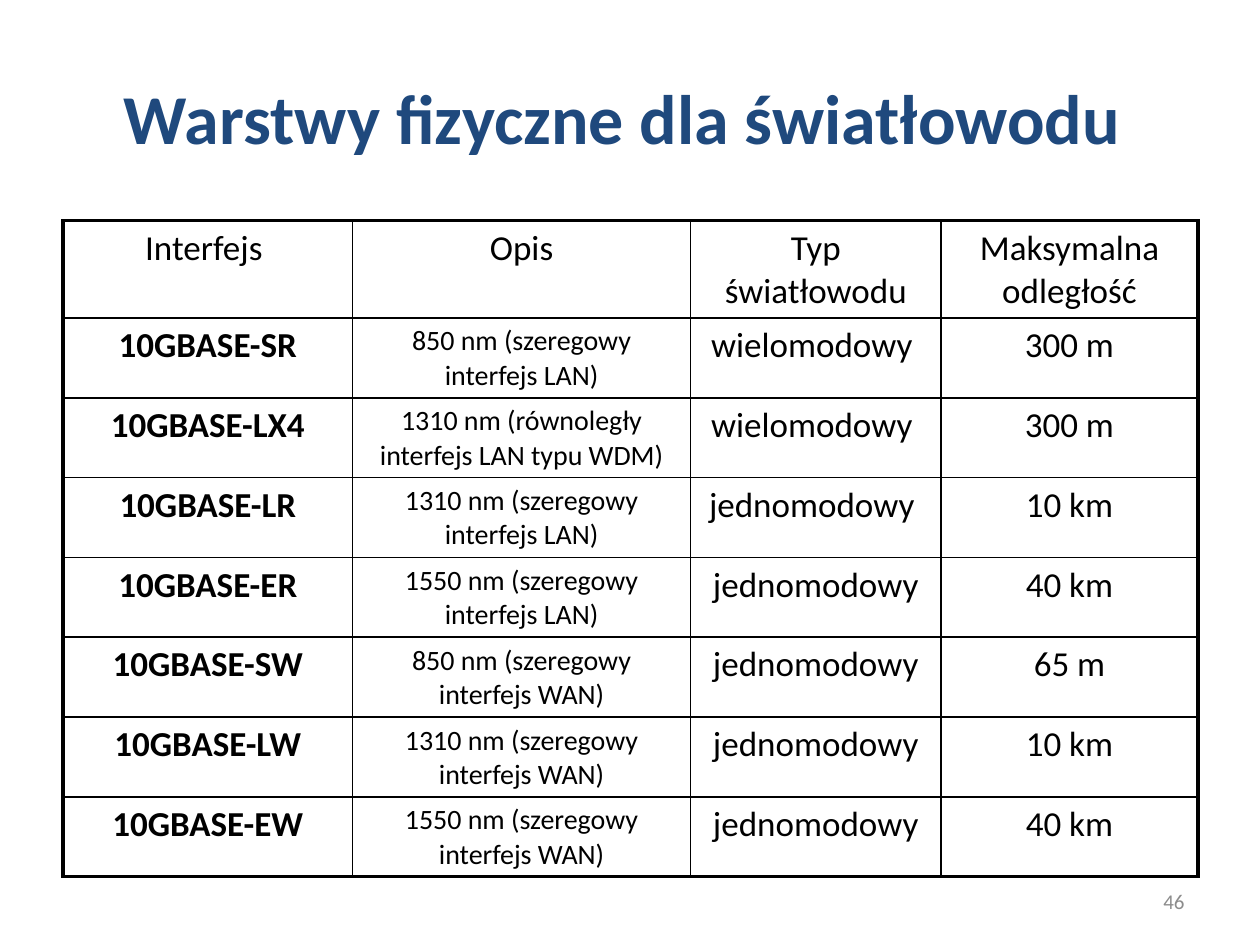
from dataclasses import dataclass

from lxml import etree
from pptx import Presentation
from pptx import util as u
from pptx.dml.color import RGBColor
from pptx.enum import text
from pptx.oxml import ns


@dataclass(frozen=True)
class Theme:
    font: str = "Calibri"
    heading: str = "1F497D"
    ink: str = "000000"
    muted: str = "8C8C8C"
    title_size: int = 40
    body_size: int = 20
    detail_size: int = 16
    number_size: int = 12
    grid_width: float = 1
    frame_width: float = 2.25


THEME = Theme()
CENTER = text.PP_ALIGN.CENTER
COLUMN_WIDTHS = (5.84, 6.81, 5.05, 5.18)
HEADER_HEIGHT, ROW_HEIGHT = 1.96, 1.6
INTERFACE, DESCRIPTION = 0, 1

ROWS = [
    ("Interfejs ", "Opis", "Typ światłowodu", "Maksymalna odległość"),
    ("10GBASE-SR", "850 nm (szeregowy interfejs LAN)", "wielomodowy ", "300 m"),
    ("10GBASE-LX4", "1310 nm (równoległy interfejs LAN typu WDM)", "wielomodowy ", "300 m"),
    ("10GBASE-LR", "1310 nm (szeregowy interfejs LAN)", "jednomodowy ", "10 km"),
    ("10GBASE-ER", "1550 nm (szeregowy interfejs LAN)", "jednomodowy", "40 km"),
    ("10GBASE-SW", "850 nm (szeregowy interfejs WAN)", "jednomodowy", "65 m"),
    ("10GBASE-LW", "1310 nm (szeregowy interfejs WAN)", "jednomodowy", "10 km"),
    ("10GBASE-EW", "1550 nm (szeregowy interfejs WAN)", "jednomodowy", "40 km"),
]


def write(frame, wording, size, color, align, bold=False):
    paragraph = frame.paragraphs[0]
    paragraph.alignment = align
    run = paragraph.add_run()
    run.text = wording
    font_format = {"name": THEME.font, "size": u.Pt(size), "bold": bold}
    for attribute, value in font_format.items():
        setattr(run.font, attribute, value)
    run.font.color.rgb = RGBColor.from_string(color)


def add_label(slide, box, wording, **style):
    frame = slide.shapes.add_textbox(*map(u.Cm, box)).text_frame
    frame.word_wrap = True
    frame.vertical_anchor = text.MSO_ANCHOR.MIDDLE
    write(frame, wording, **style)


def draw_borders(cell, on_frame):
    """Line every side of the cell, heavier where it lies on the table's frame."""
    properties = cell._tc.get_or_add_tcPr()
    for side in "LRTB":
        width = THEME.frame_width if side in on_frame else THEME.grid_width
        line = etree.SubElement(properties, ns.qn(f"a:ln{side}"), w=str(u.Pt(width)))
        fill = etree.SubElement(line, ns.qn("a:solidFill"))
        etree.SubElement(fill, ns.qn("a:srgbClr"), val=THEME.ink)


def frame_sides(row, column):
    edges = {
        "L": column == 0,
        "R": column == len(COLUMN_WIDTHS) - 1,
        "T": row == 0,
        "B": row == len(ROWS) - 1,
    }
    return {side for side, is_outer in edges.items() if is_outer}


def add_interface_table(slide):
    heights = [HEADER_HEIGHT] + [ROW_HEIGHT] * (len(ROWS) - 1)
    table = slide.shapes.add_table(
        len(ROWS), len(COLUMN_WIDTHS), u.Cm(1.27), u.Cm(4.45),
        u.Cm(sum(COLUMN_WIDTHS)), u.Cm(sum(heights))).table
    table.first_row = table.horz_banding = False
    for column, width in zip(table.columns, COLUMN_WIDTHS):
        column.width = u.Cm(width)
    for row, height in zip(table.rows, heights):
        row.height = u.Cm(height)

    for r, wordings in enumerate(ROWS):
        for c, wording in enumerate(wordings):
            cell = table.cell(r, c)
            is_detail = r > 0 and c == DESCRIPTION
            size = THEME.detail_size if is_detail else THEME.body_size
            write(cell.text_frame, wording, size, THEME.ink, CENTER,
                  bold=r > 0 and c == INTERFACE)
            draw_borders(cell, frame_sides(r, c))
            cell.fill.background()


def main():
    deck = Presentation()
    deck.slide_width, deck.slide_height = u.Cm(25.4), u.Cm(19.05)
    slide = deck.slides.add_slide(deck.slide_layouts[6])
    add_label(slide, (1.27, 0.76, 22.86, 3.18), "Warstwy fizyczne dla światłowodu ",
              size=THEME.title_size, color=THEME.heading, align=CENTER, bold=True)
    add_interface_table(slide)
    add_label(slide, (18.2, 17.66, 5.93, 1.01), "46", size=THEME.number_size,
              color=THEME.muted, align=text.PP_ALIGN.RIGHT)
    deck.save("out.pptx")


if __name__ == "__main__":
    main()
